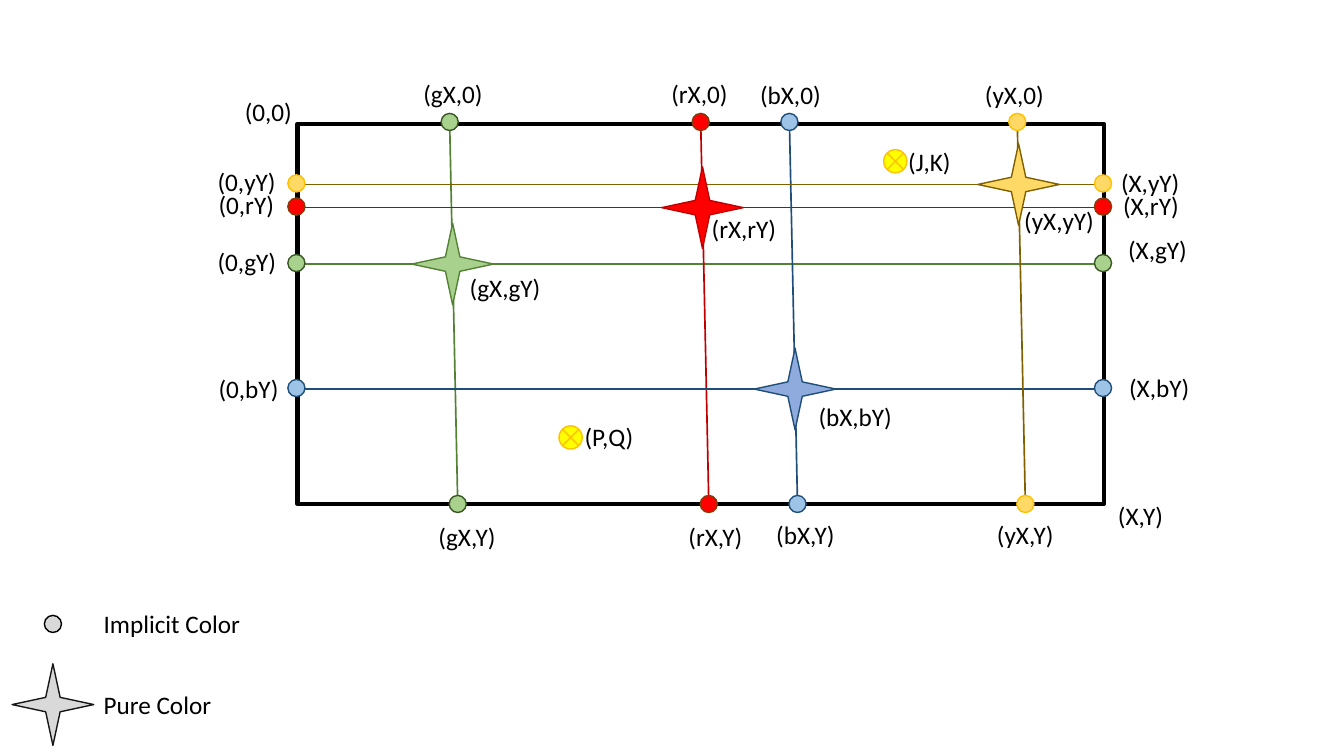
from lxml.etree import SubElement
from pptx import Presentation
from pptx.dml.color import RGBColor
from pptx.enum.shapes import MSO_CONNECTOR, MSO_SHAPE
from pptx.enum.text import MSO_AUTO_SIZE
from pptx.oxml.ns import qn
from pptx.util import Inches, Pt

BLACK = RGBColor(0x00, 0x00, 0x00)
INK = RGBColor(0x18, 0x17, 0x17)
GREY = RGBColor(0xD9, 0xD9, 0xD9)
GREEN = RGBColor(0xA9, 0xD1, 0x8E)
MOSS = RGBColor(0x54, 0x82, 0x35)
PINE = RGBColor(0x38, 0x57, 0x23)
RED = RGBColor(0xFF, 0x00, 0x00)
WINE = RGBColor(0xC0, 0x00, 0x00)
RUST = RGBColor(0x84, 0x3C, 0x0B)
SKY = RGBColor(0x9D, 0xC3, 0xE6)
BLUE = RGBColor(0x8F, 0xAA, 0xDC)
NAVY = RGBColor(0x1F, 0x4E, 0x79)
SAND = RGBColor(0xFF, 0xD9, 0x66)
OLIVE = RGBColor(0x80, 0x60, 0x00)
GOLD = RGBColor(0xFF, 0xC0, 0x00)
YELLOW = RGBColor(0xFF, 0xFF, 0x00)

# Grid: ten columns and ten rows to the inch
COLS, ROWS = 133.3, 75
CELL = Inches(0.1)
LEFT, TOP, RIGHT, BASE = 29.5, 12.3, 109.5, 50
LEAN = 0.8
DOT, STAR, LAMP, TALL = 1.7, 8.1, 2.3, 4

# Letter, column, row, line colour, star fill, dot fill, dot edge
COLORS = [
    ("g", 44.6, 26.2, MOSS, GREEN, GREEN, PINE),
    ("r", 69.5, 20.6, WINE, RED, RED, RUST),
    ("b", 78.3, 38.6, NAVY, BLUE, SKY, NAVY),
    ("y", 100.9, 18.3, OLIVE, SAND, SAND, GOLD),
]

# Label pattern: letter -> column, row, width
LABELS = {
    "({0}X,0)": {"g": (41, 7.3, 8), "r": (65.6, 7.3, 7.7),
                 "b": (74.4, 7.4, 8.1), "y": (96.7, 7.4, 7.9)},
    "({0}X,Y)": {"g": (42.5, 51.2, 7.8), "r": (67.3, 51.2, 7.7),
                 "b": (76, 51, 7.9), "y": (97.9, 51, 7.7)},
    "(0,{0}Y)": {"g": (20.6, 23.9, 7.9), "r": (20.7, 18.3, 7.6),
                 "b": (20.7, 36.5, 8), "y": (20.6, 16, 7.8)},
    "(X,{0}Y)": {"g": (110.9, 22.8, 7.9), "r": (110.4, 18.4, 7.6),
                 "b": (111, 36.4, 8.1), "y": (110.2, 16.1, 7.9)},
    "({0}X,{0}Y)": {"g": (45.6, 26.5, 9.1), "r": (69.6, 20.7, 8.5),
                    "b": (80.2, 39.3, 9.4), "y": (100.6, 19.9, 9)},
}
CORNERS = [("(0,0)", 23.3, 9.1, 6.8), ("(X,Y)", 109.9, 49.1, 6.6)]

# Centre of each lamp, then its label
LAMPS = [(56.6, 43.4, "(P,Q)", 57, 41.3, 6.9),
         (88.8, 16, "(J,K)", 89.1, 14, 6.3)]

# Legend: preset, size, edge, row of the centre, text, width
KEYS = [(MSO_SHAPE.FLOWCHART_CONNECTOR, DOT, BLACK, 61.9, "Implicit Color", 15.7),
        (MSO_SHAPE.STAR_4_POINT, STAR, INK, 69.9, "Pure Color", 12.8)]


def grid(*cells):
    return [round(n * CELL) for n in cells]


def paint(shape, fill, edge, weight=1):
    shape.shadow.inherit = False
    if fill is None:
        shape.fill.background()
    else:
        shape.fill.solid()
        shape.fill.fore_color.rgb = fill
    shape.line.color.rgb = edge
    shape.line.width = Pt(weight)


def mark(home, kind, x, y, size, fill, edge):
    box = grid(x - size / 2, y - size / 2, size, size)
    paint(home.add_shape(kind, *box), fill, edge)


def wire(home, ends, color):
    line = home.add_connector(MSO_CONNECTOR.STRAIGHT, *grid(*ends))
    line.line.color.rgb = color
    line.line.width = Pt(1.2)
    SubElement(line.element.spPr, qn("a:effectLst"))


def label(home, text, x, y, wide):
    frame = home.add_textbox(*grid(x, y, wide, TALL)).text_frame
    frame.text = text
    frame.word_wrap = False
    frame.auto_size = MSO_AUTO_SIZE.SHAPE_TO_FIT_TEXT
    font = frame.paragraphs[0].runs[0].font
    font.name, font.size = "Calibri", Pt(18)
    font.color.rgb = BLACK


def main():
    deck = Presentation()
    deck.slide_width, deck.slide_height = grid(COLS, ROWS)
    slide = deck.slides.add_slide(deck.slide_layouts[6])

    # Legend
    for kind, size, edge, y, text, wide in KEYS:
        mark(slide.shapes, kind, 5.25, y, size, GREY, edge)
        label(slide.shapes, text, 9.3, y - TALL / 2, wide)

    # Frame
    plot = slide.shapes.add_group_shape().shapes
    box = grid(LEFT, TOP, RIGHT - LEFT, BASE - TOP)
    paint(plot.add_shape(MSO_SHAPE.RECTANGLE, *box), None, BLACK, 3)

    # Crossing lines
    for _, x, y, color, *_ in COLORS:
        wire(plot, (x, TOP, x + LEAN, BASE), color)
        wire(plot, (LEFT, y, RIGHT, y), color)

    # Stars on the crossings, dots on the frame
    for _, x, y, color, star, fill, edge in COLORS:
        cross = x + LEAN * (y - TOP) / (BASE - TOP)
        mark(plot, MSO_SHAPE.STAR_4_POINT, cross, y, STAR, star, color)
        for spot in ((x, TOP - 0.2), (x + LEAN, BASE),
                     (LEFT - 0.1, y - 0.1), (RIGHT - 0.1, y - 0.1)):
            mark(plot, MSO_SHAPE.FLOWCHART_CONNECTOR, *spot, DOT, fill, edge)

    # Coordinates
    for text, *place in CORNERS:
        label(plot, text, *place)
    for form, spots in LABELS.items():
        for letter, place in spots.items():
            label(plot, form.format(letter), *place)

    # Lamps
    for x, y, *note in LAMPS:
        mark(plot, MSO_SHAPE.FLOWCHART_SUMMING_JUNCTION, x, y, LAMP, YELLOW, GOLD)
        label(plot, *note)

    deck.save("out.pptx")


if __name__ == "__main__":
    main()
